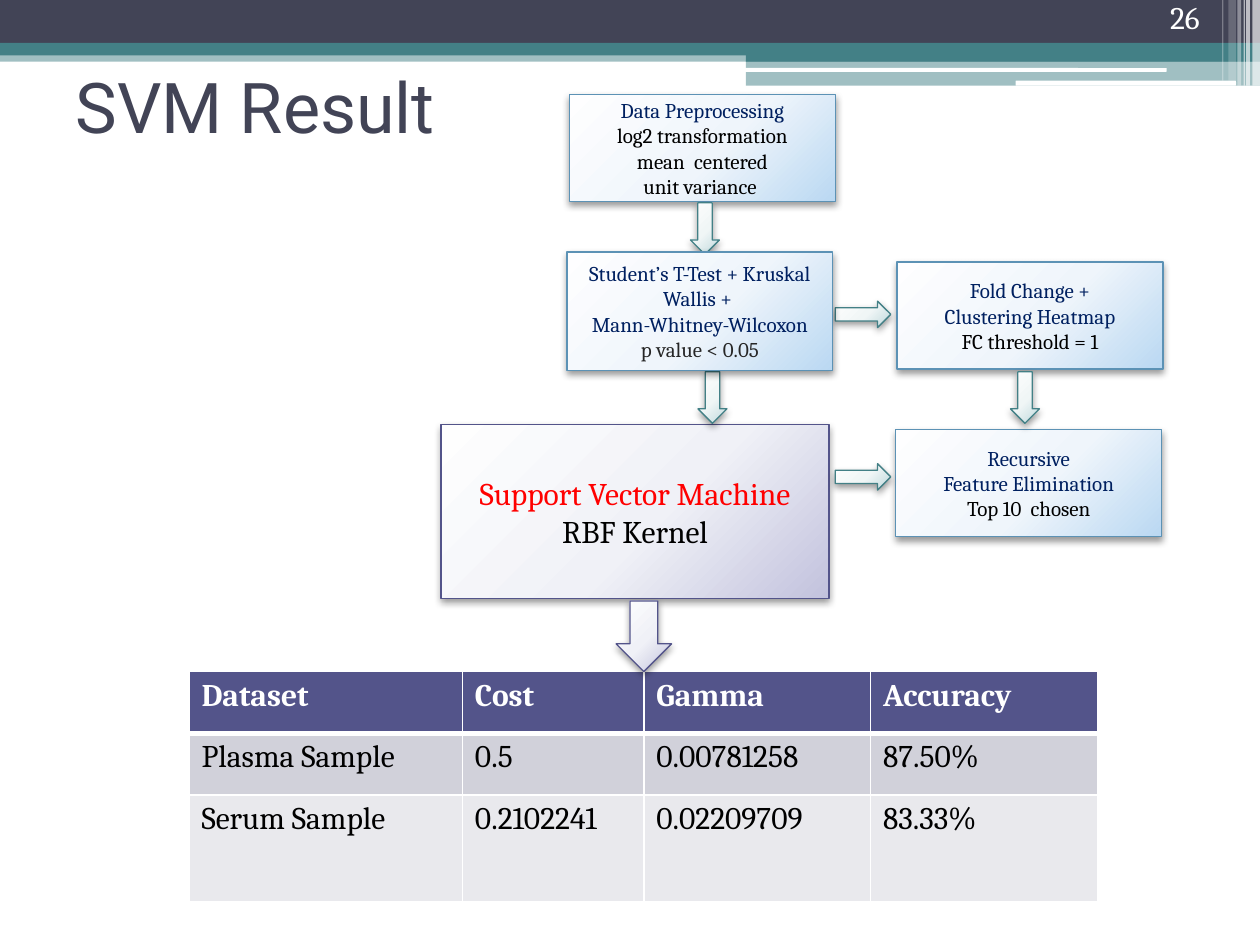
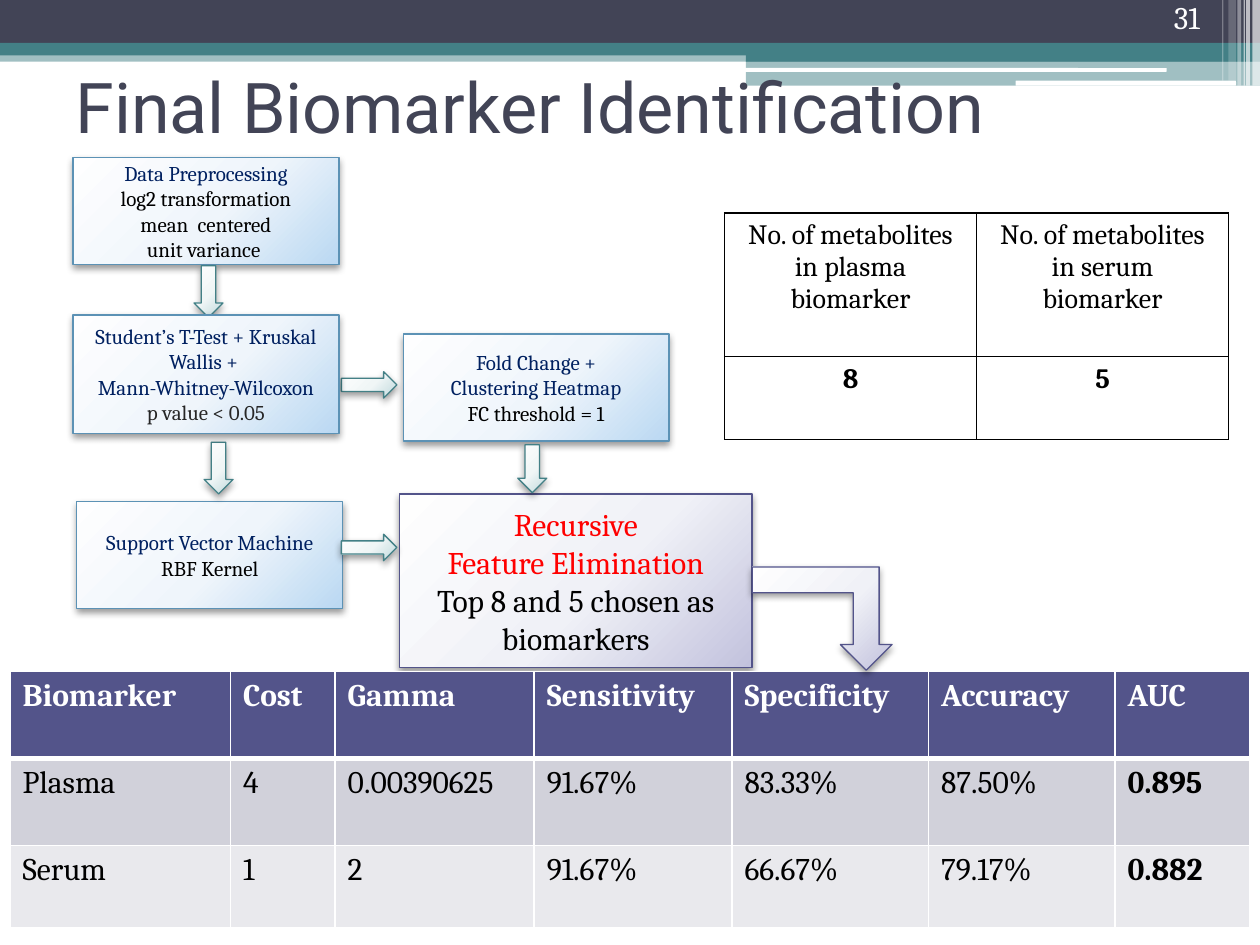
from lxml import etree
from pptx import Presentation
from pptx.dml.color import RGBColor
from pptx.enum.shapes import MSO_SHAPE
from pptx.enum.text import MSO_ANCHOR, MSO_AUTO_SIZE, PP_ALIGN
from pptx.oxml import parse_xml
from pptx.oxml.ns import nsdecls, qn
from pptx.util import Inches, Pt

RECT, ROUND = MSO_SHAPE.RECTANGLE, MSO_SHAPE.ROUNDED_RECTANGLE
DOWN, RIGHT = MSO_SHAPE.DOWN_ARROW, MSO_SHAPE.RIGHT_ARROW
BENT = MSO_SHAPE.BENT_UP_ARROW
MIDDLE, BOTTOM, TOP = MSO_ANCHOR.MIDDLE, MSO_ANCHOR.BOTTOM, MSO_ANCHOR.TOP
LEFT_AL, CENTER, RIGHT_AL = PP_ALIGN.LEFT, PP_ALIGN.CENTER, PP_ALIGN.RIGHT
NO_FIT = MSO_AUTO_SIZE.NONE

C = {
    "slate": "424456", "teal": "438086", "white": "FFFFFF", "black": "000000",
    "navy": "002060", "red": "FF0000", "gray": "262626",
    "violet": "53548A", "blue": "5C92B5",
    "row_dark": "D1D1DA", "row_light": "E9E9ED",
}
# Outline colour and the three gradient stops (0, 55 and 100 %)
LOOKS = {
    "step": (C["blue"], ("FEFEFF", "EFF5FB", "BAD8F2")),
    "focus": (C["violet"], ("FEFEFE", "F0F1F7", "C2C2DD")),
    "arrow": (C["teal"], ("FEFEFE", "F0F6F6", "BFD9DD")),
}
BODY_FONT, TITLE_FONT = "Cambria", "Roboto"
STEP_SIZE = (2.11, 0.85)
TEST_SIZE = (2.11, 0.94)
ARROW_SIZE = {DOWN: (0.23, 0.41), RIGHT: (0.44, 0.21)}

# Lines of text with their colours
PREPROCESS = [("Data Preprocessing", "navy"), ("log2 transformation", "black"),
              ("mean  centered", "black"), ("unit variance ", "black")]
TESTS = [("Student’s T-Test + Kruskal Wallis + ", "navy"),
         ("Mann-Whitney-Wilcoxon", "navy"), ("p value < 0.05", "gray")]
FOLD_CHANGE = [("Fold Change +", "navy"), ("Clustering Heatmap", "navy"),
               ("FC threshold = 1", "black")]


def svm(color):
    """Return the lines of the support vector machine step."""
    return [("Support Vector Machine", color), ("RBF Kernel", "black")]


def elimination(color, outcome):
    """Return the lines of the feature elimination step."""
    return [("Recursive", color), ("Feature Elimination", color), (outcome, "black")]


def inches(box):
    """Turn a tuple of numbers into lengths."""
    return [Inches(v) for v in box]


def style(p, size, color, align=LEFT_AL, font=BODY_FONT, bold=False):
    """Format a whole paragraph."""
    p.alignment = align
    p.font.name, p.font.size, p.font.bold = font, Pt(size), bold
    p.font.color.rgb = RGBColor.from_string(color)


def flat_shape(s, kind, box, color, opacity=100):
    """Add a borderless shape of one colour."""
    sp = s.shapes.add_shape(kind, *inches(box))
    sp.shadow.inherit = False
    sp.line.fill.background()
    sp.fill.solid()
    sp.fill.fore_color.rgb = RGBColor.from_string(color)
    if opacity < 100:
        clr = sp.fill._xPr.find(qn("a:solidFill"))[0]
        etree.SubElement(clr, qn("a:alpha")).set("val", str(opacity * 1000))
    return sp


def shaded_shape(s, kind, box, look):
    """Add a shape with a radial gradient, a thin outline and a soft shadow."""
    line, stops = LOOKS[look]
    sp = s.shapes.add_shape(kind, *inches(box))
    sp.line.color.rgb = RGBColor.from_string(line)
    sp.line.width = Pt(0.75)
    sp.shadow.inherit = False
    gs = "".join(f'<a:gs pos="{pos}000"><a:srgbClr val="{c}"/></a:gs>'
                 for pos, c in zip((0, 55, 100), stops))
    grad = parse_xml(
        f'<a:gradFill {nsdecls("a")} rotWithShape="1"><a:gsLst>{gs}</a:gsLst>'
        '<a:path path="circle"><a:fillToRect l="-40000" t="-90000" '
        'r="140000" b="190000"/></a:path></a:gradFill>')
    spPr = sp._element.spPr
    spPr.find(qn("a:prstGeom")).addnext(grad)
    spPr.find(qn("a:effectLst")).append(parse_xml(
        f'<a:outerShdw {nsdecls("a")} blurRad="{Pt(4.1)}" dist="{Pt(2)}" '
        'dir="5400000" rotWithShape="0"><a:srgbClr val="000000">'
        '<a:alpha val="40000"/></a:srgbClr></a:outerShdw>'))
    return sp


def step(s, box, lines, look="step", size=12):
    """Add one box of the flowchart with its centred lines."""
    tf = shaded_shape(s, RECT, box, look).text_frame
    tf.word_wrap, tf.vertical_anchor = True, MIDDLE
    for i, (text, color) in enumerate(lines):
        p = tf.paragraphs[0] if i == 0 else tf.add_paragraph()
        p.text = text
        style(p, size, C[color], CENTER)


def flowchart(s, origin, steps, arrows, test_at):
    """Draw steps, then arrows, then the test step, all as offsets from origin."""
    def place(at, size):
        return (origin[0] + at[0], origin[1] + at[1], *size)

    for at, size, lines, look, points in steps:
        step(s, place(at, size), lines, look, points)
    for kind, at, *size in arrows:
        shaded_shape(s, kind, place(at, size or ARROW_SIZE[kind]), "arrow")
    step(s, place(test_at, TEST_SIZE), TESTS)


def bands(s, layout):
    """Draw the top bands and move them to the layout that all slides share."""
    for ph in list(layout.placeholders):
        if ph.placeholder_format.idx:
            ph._element.getparent().remove(ph._element)
    parts = [
        (RECT, (0, 0.4, 10, 0.09), "teal", 50),
        (RECT, (0, 0, 10, 0.34), "slate", 100),
        (RECT, (0, 0.34, 10, 0.1), "teal", 100),
        (RECT, (5.92, 0.39, 4.08, 0.1), "teal", 100),
        (RECT, (5.92, 0.48, 4.08, 0.2), "teal", 50),
        (ROUND, (5.91, 0.54, 3.35, 0.03), "white", 100),
        (ROUND, (8.06, 0.64, 1.75, 0.04), "white", 100),
    ]
    stripes = [(9.94, 0.06, 0.68, 65), (9.89, 0.03, 0.68, 65), (9.87, 0.01, 0.68, 60),
               (9.82, 0.03, 0.68, 40), (9.75, 0.06, 0.64, 20), (9.7, 0.01, 0.64, 30)]
    parts += [(RECT, (x, 0, w, h), "white", opacity) for x, w, h, opacity in stripes]
    for kind, box, color, opacity in parts:
        sp = flat_shape(s, kind, box, C[color], opacity)
        layout.shapes._spTree.append(sp._element)


def heading(s, title, number):
    """Place the title and the page number."""
    ph = s.shapes.title
    ph.left, ph.top, ph.width, ph.height = inches((0.5, 0.25, 9, 1.17))
    tf = ph.text_frame
    tf.text = title
    tf.auto_size, tf.vertical_anchor = NO_FIT, MIDDLE
    style(tf.paragraphs[0], 40, C["slate"], font=TITLE_FONT)
    tf = s.shapes.add_textbox(*inches((9.1, 0.08, 0.52, 0.25))).text_frame
    tf.word_wrap, tf.vertical_anchor = True, BOTTOM
    tf.text = str(number)
    style(tf.paragraphs[0], 18, C["white"], RIGHT_AL)


def borders(cell, color, **widths):
    """Set the cell borders L, R, T and B, widths in points."""
    tcPr = cell._tc.get_or_add_tcPr()
    for side in "LRTB":
        tcPr.append(parse_xml(
            f'<a:ln{side} {nsdecls("a")} w="{Pt(widths.get(side, 1))}"><a:solidFill>'
            f'<a:srgbClr val="{color}"/></a:solidFill></a:ln{side}>'))


def grid(s, at, cols, heights, rows):
    """Add an empty-styled table and yield each cell with its place and text."""
    box = inches((*at, sum(cols), sum(heights)))
    table = s.shapes.add_table(len(rows), len(cols), *box).table
    table.first_row = table.horz_banding = False
    for col, w in zip(table.columns, cols):
        col.width = Inches(w)
    for row, h in zip(table.rows, heights):
        row.height = Inches(h)
    for r, texts in enumerate(rows):
        for c, text in enumerate(texts):
            cell = table.cell(r, c)
            cell.text, cell.vertical_anchor = text, TOP
            yield r, c, cell


def result_table(s, at, cols, heights, rows, bold_col=None):
    """Add a table with a violet header and shaded rows."""
    fills = (C["violet"], C["row_dark"], C["row_light"])
    for r, c, cell in grid(s, at, cols, heights, rows):
        borders(cell, C["white"], T=3 if r == 1 else 1, B=3 if r == 0 else 1)
        cell.fill.solid()
        cell.fill.fore_color.rgb = RGBColor.from_string(fills[r])
        style(cell.text_frame.paragraphs[0], 18, C["black" if r else "white"],
              bold=r == 0 or c == bold_col)


def count_table(s, at, cols, heights, rows):
    """Add an unfilled table with black rules and centred text."""
    for r, _, cell in grid(s, at, cols, heights, rows):
        borders(cell, C["black"])
        cell.fill.background()
        style(cell.text_frame.paragraphs[0], 16, C["black"], CENTER, bold=r == 1)


def svm_slide(s):
    """Fill the slide on the support vector machine."""
    heading(s, "SVM Result", 26)
    steps = [
        ((0, 2.62), (3.08, 1.38), svm("red"), "focus", 18),
        ((3.62, 1.33), STEP_SIZE, FOLD_CHANGE, "step", 12),
        ((3.61, 2.66), STEP_SIZE, elimination("navy", "Top 10  chosen"), "step", 12),
        ((1.02, 0), STEP_SIZE, PREPROCESS, "step", 12),
    ]
    arrows = [(DOWN, (1.98, 0.86)), (DOWN, (2.04, 2.2)), (DOWN, (4.52, 2.2)),
              (RIGHT, (3.13, 1.64)), (RIGHT, (3.13, 2.93))]
    flowchart(s, (3.5, 0.75), steps, arrows, test_at=(1, 1.25))
    result_table(s, (1.5, 5.33), (2.17, 1.44, 1.8, 1.8), (0.49, 0.49, 0.85), [
        ("Dataset", "Cost", "Gamma", "Accuracy"),
        ("Plasma Sample", "0.5", "0.00781258", "87.50%"),
        ("Serum Sample", "0.2102241", "0.02209709", "83.33%"),
    ])
    shaded_shape(s, DOWN, (4.89, 4.77, 0.44, 0.56), "focus")


def biomarker_slide(s):
    """Fill the slide on the final biomarkers."""
    heading(s, "Final Biomarker Identification", 31)
    outcome = "Top 8 and 5 chosen as biomarkers"
    steps = [
        ((0.03, 2.73), STEP_SIZE, svm("navy"), "step", 12),
        ((2.62, 1.4), STEP_SIZE, FOLD_CHANGE, "step", 12),
        ((2.59, 2.67), (2.8, 1.38), elimination("red", outcome), "focus", 18),
        ((0, 0), STEP_SIZE, PREPROCESS, "step", 12),
    ]
    arrows = [(DOWN, (0.96, 0.86)), (DOWN, (1.04, 2.26)), (DOWN, (3.53, 2.28), 0.23, 0.38),
              (RIGHT, (2.13, 1.7)), (RIGHT, (2.13, 2.99))]
    flowchart(s, (0.58, 1.25), steps, arrows, test_at=(0, 1.25))
    cols = (1.75, 0.83, 1.58, 1.57, 1.56, 1.48, 1.07)
    result_table(s, (0.08, 5.33), cols, (0.69, 0.69, 0.65), [
        ("Biomarker", "Cost", "Gamma", "Sensitivity", "Specificity", "Accuracy", "AUC"),
        ("Plasma", "4", "0.00390625", "91.67%", "83.33%", "87.50%", "0.895"),
        ("Serum", "1", "2", "91.67%", "66.67%", "79.17%", "0.882"),
    ], bold_col=6)
    sp = shaded_shape(s, BENT, (5.97, 4.5, 1.11, 0.82), "focus")
    sp._element.spPr.find(qn("a:xfrm")).set("flipV", "1")
    count_table(s, (5.75, 1.69), (2, 2), (1.14, 0.66), [
        ("No. of metabolites in plasma biomarker", "No. of metabolites in serum biomarker"),
        ("8", "5"),
    ])


prs = Presentation()
prs.slide_width, prs.slide_height = inches((10, 7.5))
title_only = prs.slide_layouts[5]
slides = [prs.slides.add_slide(title_only) for _ in range(2)]
bands(slides[0], title_only)
svm_slide(slides[0])
biomarker_slide(slides[1])
prs.save("out.pptx")
